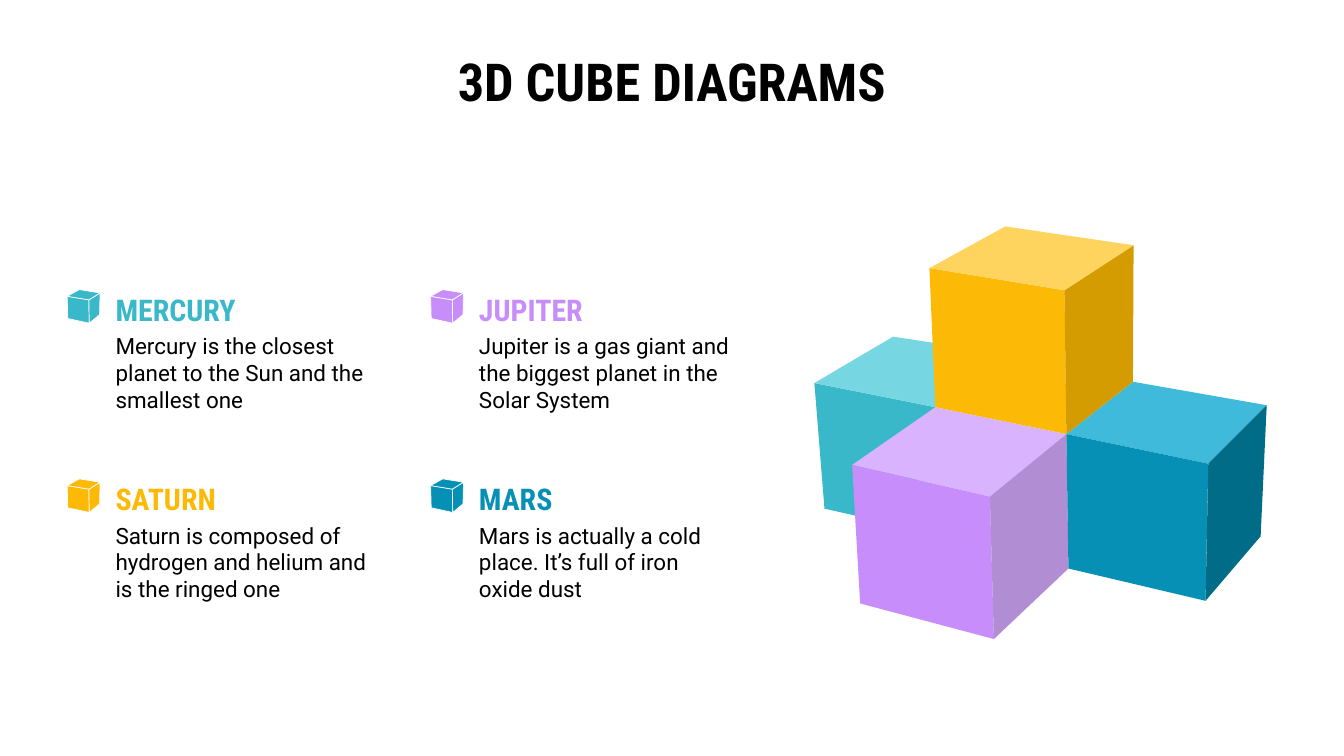
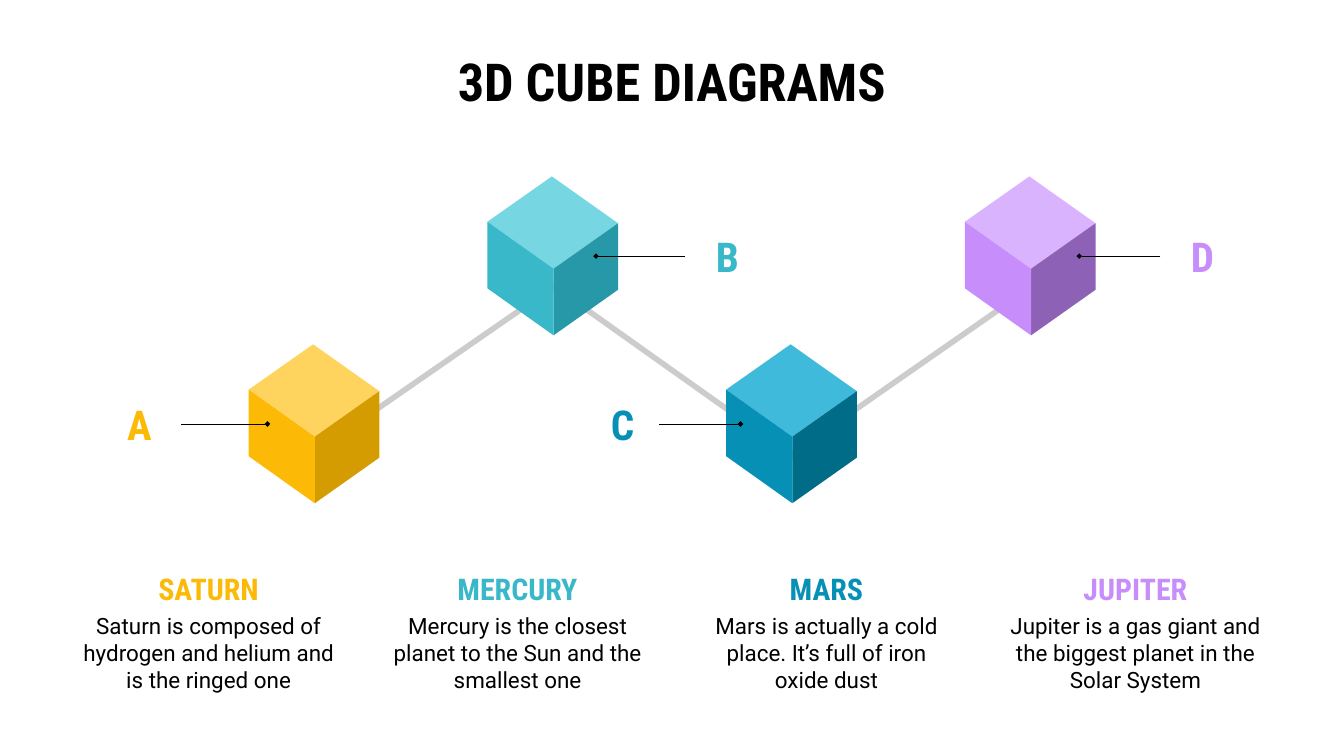
import pptx
import pptx.dml.color
import pptx.enum.shapes
import pptx.enum.text
import pptx.oxml.ns
import pptx.util
import lxml.etree
from dataclasses import dataclass

Pt = pptx.util.Pt
Align = pptx.enum.text.PP_ALIGN
Anchor = pptx.enum.text.MSO_ANCHOR


@dataclass(frozen=True)
class Theme:
    heading_font: str = "Roboto Condensed"
    body_font: str = "Roboto"
    black: str = "000000"
    white: str = "FFFFFF"
    link: str = "CCCCCC"
    title_size: int = 56
    label_size: int = 44
    heading_size: int = 32
    body_size: int = 24
    inset: float = 14.4
    thin: float = 0.75
    thick: float = 6


THEME = Theme()
TITLE = "3D CUBE DIAGRAMS"

PLANETS = {
    "MERCURY": "Mercury is the closest planet to the Sun and the smallest one",
    "JUPITER": "Jupiter is a gas giant and the biggest planet in the Solar System",
    "SATURN": "Saturn is composed of hydrogen and helium and is the ringed one",
    "MARS": "Mars is actually a cold place. It’s full of iron oxide dust",
}
CUBE_COLORS = {
    "MERCURY": {"top": "76D7E3", "front": "38B8C8", "side": "2798A7"},
    "JUPITER": {"top": "DAB3FF", "front": "C68DFB", "side": "8D61B6"},
    "SATURN": {"top": "FFD45E", "front": "FCBA06", "side": "D59C01"},
    "MARS": {"top": "3FBADB", "front": "0690B5", "side": "016C88"},
}
STACK_JUPITER_SIDE = "B18DD3"

HUB_LEFT, HUB_RIGHT = (1002.2, 436.3), (1142.6, 465.1)
HUB_BACK, HUB_BOTTOM = (1213.9, 409), (1144.8, 609.1)
MERCURY_LEFT = (872.6, 410.4)
JUPITER_LEFT, JUPITER_FRONT, JUPITER_BOTTOM = (913, 498.2), (1060.6, 532.1), (1064.9, 684.7)
MARS_FRONT, MARS_RIGHT, MARS_BOTTOM = (1294.6, 496.8), (1357.2, 434.2), (1291.7, 643.7)
SATURN_LEFT, SATURN_FRONT, SATURN_RIGHT = (995.8, 287.3), (1140.5, 311), (1214.6, 262.8)

STACK = {
    "MERCURY": {
        "front": [MERCURY_LEFT, (883.4, 545), (973.4, 565.2), HUB_LEFT],
        "top": [(956.9, 360.7), MERCURY_LEFT, HUB_LEFT, (1023.1, 370.8)],
    },
    "JUPITER": {
        "top": [HUB_LEFT, JUPITER_LEFT, JUPITER_FRONT, HUB_RIGHT],
        "front": [JUPITER_LEFT, (921.6, 646.6), JUPITER_BOTTOM, JUPITER_FRONT],
        "side": [HUB_RIGHT, JUPITER_FRONT, JUPITER_BOTTOM, HUB_BOTTOM],
    },
    "MARS": {
        "top": [HUB_BACK, HUB_RIGHT, MARS_FRONT, MARS_RIGHT],
        "front": [HUB_RIGHT, HUB_BOTTOM, MARS_BOTTOM, MARS_FRONT],
        "side": [MARS_RIGHT, MARS_FRONT, MARS_BOTTOM, (1350.7, 574.6)],
    },
    "SATURN": {
        "front": [SATURN_LEFT, HUB_LEFT, HUB_RIGHT, SATURN_FRONT],
        "side": [SATURN_RIGHT, SATURN_FRONT, HUB_RIGHT, HUB_BACK],
        "top": [(1077.1, 242.6), SATURN_LEFT, SATURN_FRONT, SATURN_RIGHT],
    },
}
ICON = {
    "front": [(0, 7.2), (0.7, 31), (23.7, 36), (23.3, 11)],
    "side": [(35.2, 3.6), (23.3, 11), (23.7, 36), (34.7, 26.8)],
    "top": [(13, 0), (0, 7.2), (23.3, 11), (35.2, 3.6)],
}
CHAIN_CUBE = {
    "top": [(69.1, 0), (0, 48.6), (70.9, 99), (140, 50.2)],
    "side": [(140, 50.2), (70.9, 99), (70.9, 170.3), (140, 121.5)],
    "front": [(0, 48.6), (0, 119.9), (70.9, 170.3), (70.9, 99)],
}

CHAIN = [
    {"planet": "SATURN", "letter": "A", "high": False, "label_left": 104.4, "gap": 0, "tip": 286.6},
    {"planet": "MERCURY", "letter": "B", "high": True, "label_left": 734.4, "gap": 0, "tip": 638.6},
    {"planet": "MARS", "letter": "C", "high": False, "label_left": 622.1, "gap": -5.8, "tip": 793.4},
    {"planet": "JUPITER", "letter": "D", "high": True, "label_left": 1243.4, "gap": 0, "tip": 1156.3},
]
CHAIN_LINKS = [
    ((588.2, 303.1), (875.5, 506.9)),
    ((317.5, 498.2), (622, 287.3)),
    ((823, 504), (1134, 287.3)),
]

LEFT_MARGIN = 72
CAPTION_WIDTH, HEADING_HEIGHT, BODY_HEIGHT, BODY_OFFSET = 303, 60.5, 90, 49.4
GRID_TOP, GRID_COLUMN_STEP, GRID_ROW_STEP = 310.3, 389.4, 202.8
CAPTION_TOP, CAPTION_STEP = 591.8, 331
CHAIN_LEFT, CHAIN_STEP, CHAIN_LOW, CHAIN_HIGH = 266.4, 255.8, 368.9, 189
LABEL_WIDTH, LABEL_HEIGHT, LABEL_OFFSET = 90, 73.4, 48.7


def rgb(value):
    return pptx.dml.color.RGBColor.from_string(value)


def set_text(shape, text, font, size, color, bold=False, align=Align.LEFT, anchor=Anchor.TOP):
    frame = shape.text_frame
    frame.word_wrap = True
    frame.auto_size = pptx.enum.text.MSO_AUTO_SIZE.NONE
    frame.vertical_anchor = anchor
    frame.margin_left = frame.margin_right = Pt(THEME.inset)
    frame.margin_top = frame.margin_bottom = Pt(THEME.inset)
    frame.text = text
    paragraph = frame.paragraphs[0]
    paragraph.alignment = align
    paragraph.font.name = font
    paragraph.font.size = Pt(size)
    paragraph.font.bold = bold
    paragraph.font.color.rgb = rgb(color)
    return paragraph


def add_titled_slide(presentation):
    slide = presentation.slides.add_slide(presentation.slide_layouts[5])
    title = slide.shapes.title
    title.left, title.top, title.width, title.height = Pt(LEFT_MARGIN), Pt(38.2), Pt(1296), Pt(90)
    set_text(title, TITLE, THEME.heading_font, THEME.title_size, THEME.black, True, Align.CENTER)
    return slide


def add_cube(slide, faces, colors, left=0, top=0, outline=None):
    group = slide.shapes.add_group_shape()
    for face, points in faces.items():
        corners = [(Pt(left + x), Pt(top + y)) for x, y in points]
        builder = group.shapes.build_freeform(*corners[0])
        builder.add_line_segments(corners[1:], close=True)
        shape = builder.convert_to_shape()
        shape.shadow.inherit = False
        shape.fill.solid()
        shape.fill.fore_color.rgb = rgb(colors[face])
        if outline:
            shape.line.color.rgb = rgb(outline)
            shape.line.width = Pt(THEME.thin)
        else:
            shape.line.fill.background()


def add_caption(slide, planet, left, top, align):
    body = slide.shapes.add_textbox(Pt(left), Pt(top + BODY_OFFSET), Pt(CAPTION_WIDTH), Pt(BODY_HEIGHT))
    set_text(body, PLANETS[planet], THEME.body_font, THEME.body_size, THEME.black, align=align)
    heading = slide.shapes.add_textbox(Pt(left), Pt(top), Pt(CAPTION_WIDTH), Pt(HEADING_HEIGHT))
    paragraph = set_text(heading, planet, THEME.heading_font, THEME.heading_size,
                         CUBE_COLORS[planet]["front"], True, align)
    paragraph.line_spacing = 1.15
    paragraph.space_after = Pt(32)


def add_line(slide, start, end, color, width, tail=None):
    connector = slide.shapes.add_connector(
        pptx.enum.shapes.MSO_CONNECTOR.STRAIGHT, *(Pt(value) for value in (*start, *end)))
    connector.line.color.rgb = rgb(color)
    connector.line.width = Pt(width)
    qn = pptx.oxml.ns.qn
    if tail:
        line = connector.line._get_or_add_ln()
        lxml.etree.SubElement(line, qn("a:tailEnd"), type=tail)
    lxml.etree.SubElement(connector._element.spPr, qn("a:effectLst"))
    return connector


def add_callout(slide, stop, cube_left, cube_top):
    left, top = stop["label_left"], cube_top + LABEL_OFFSET
    label = slide.shapes.add_textbox(Pt(left), Pt(top), Pt(LABEL_WIDTH), Pt(LABEL_HEIGHT))
    set_text(label, stop["letter"], THEME.heading_font, THEME.label_size,
             CUBE_COLORS[stop["planet"]]["front"], True, Align.CENTER, Anchor.MIDDLE)
    label_is_left = left < cube_left
    start = left + (LABEL_WIDTH if label_is_left else 0) + stop["gap"]
    middle = top + LABEL_HEIGHT / 2
    pointer = add_line(slide, (start, middle), (stop["tip"], middle), THEME.black, THEME.thin, "diamond")
    if stop["gap"] == 0:
        pointer.begin_connect(label, 3 if label_is_left else 1)


def build_stack_slide(presentation):
    slide = add_titled_slide(presentation)
    for planet, faces in STACK.items():
        colors = dict(CUBE_COLORS[planet])
        if planet == "JUPITER":
            colors["side"] = STACK_JUPITER_SIDE
        add_cube(slide, faces, colors)
    for index, planet in enumerate(PLANETS):
        row, column = divmod(index, 2)
        left = LEFT_MARGIN + column * GRID_COLUMN_STEP
        top = GRID_TOP + row * GRID_ROW_STEP
        icon_colors = dict.fromkeys(ICON, CUBE_COLORS[planet]["front"])
        add_cube(slide, ICON, icon_colors, left, top, THEME.white)
        add_caption(slide, planet, left + 37.4, top - 18, Align.LEFT)


def build_chain_slide(presentation):
    slide = add_titled_slide(presentation)
    for start, end in CHAIN_LINKS:
        add_line(slide, start, end, THEME.link, THEME.thick)
    for index, stop in enumerate(CHAIN):
        planet = stop["planet"]
        left = CHAIN_LEFT + index * CHAIN_STEP
        top = CHAIN_HIGH if stop["high"] else CHAIN_LOW
        add_cube(slide, CHAIN_CUBE, CUBE_COLORS[planet], left, top)
        add_callout(slide, stop, left, top)
        add_caption(slide, planet, LEFT_MARGIN + index * CAPTION_STEP, CAPTION_TOP, Align.CENTER)


def main():
    presentation = pptx.Presentation()
    presentation.slide_width, presentation.slide_height = Pt(1440), Pt(810)
    build_stack_slide(presentation)
    build_chain_slide(presentation)
    presentation.save("out.pptx")


if __name__ == "__main__":
    main()
